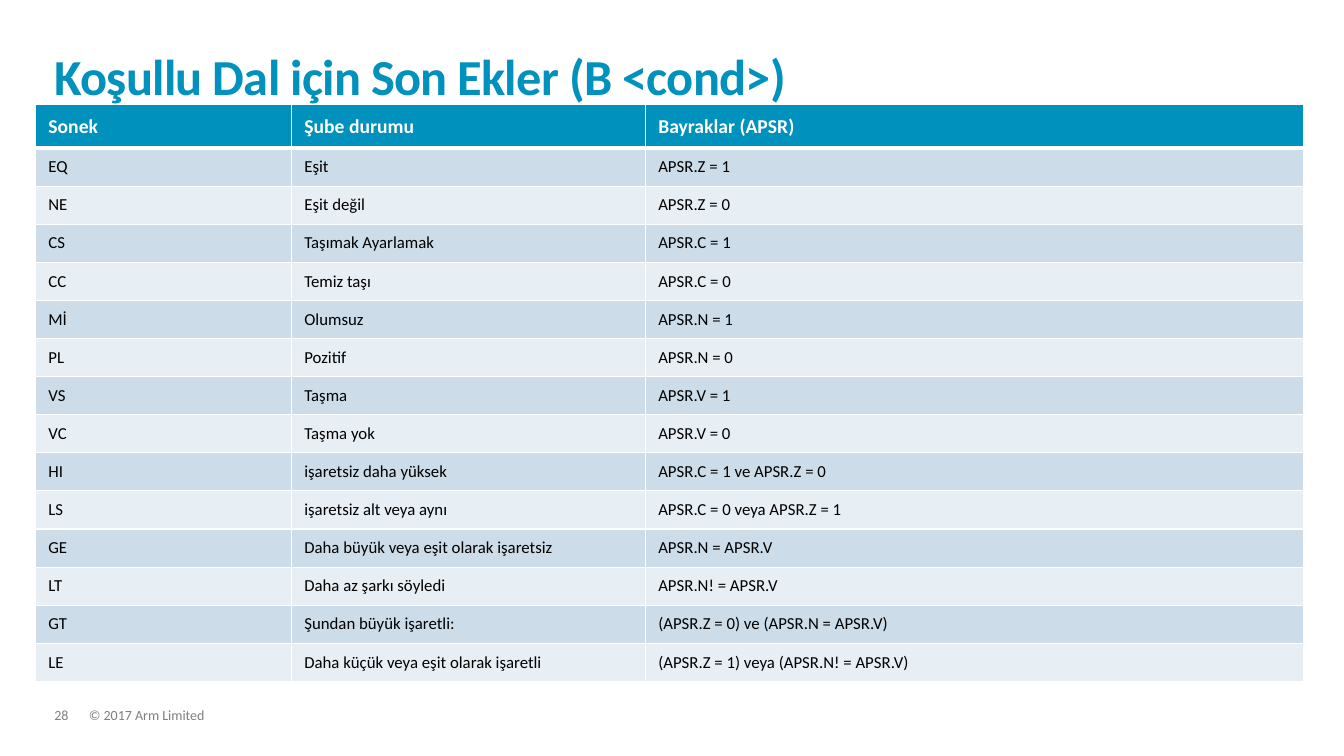
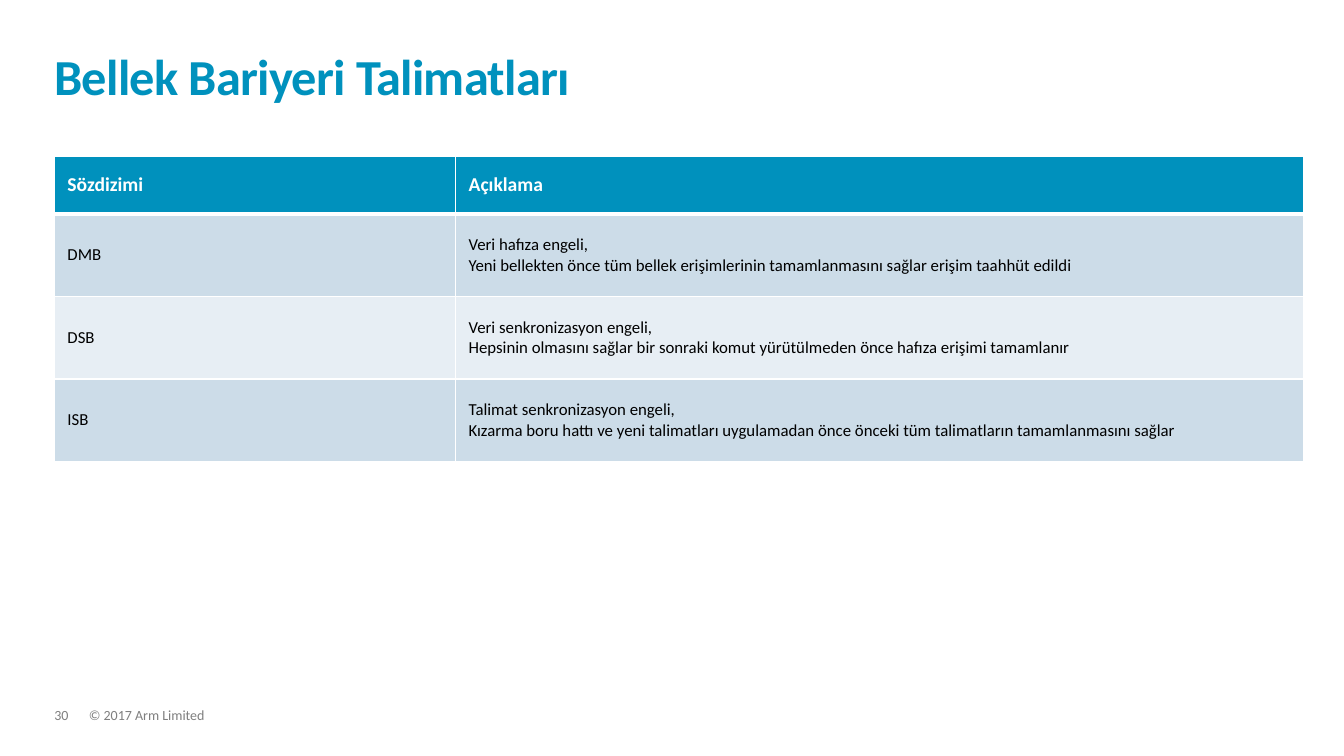
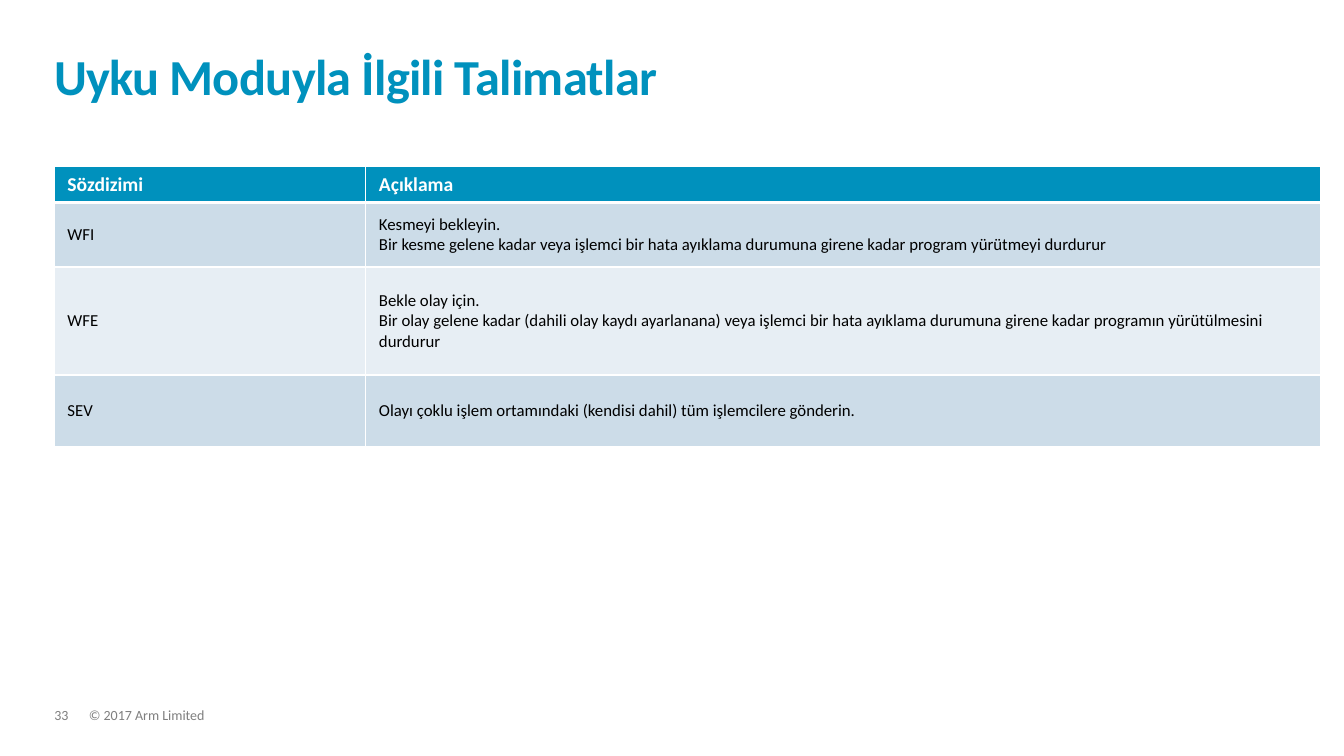
import lxml.etree
import pptx
import pptx.dml.color
import pptx.enum.text
import pptx.oxml.ns
import pptx.util

Cm = pptx.util.Cm
Pt = pptx.util.Pt
Anchor = pptx.enum.text.MSO_ANCHOR
AutoSize = pptx.enum.text.MSO_AUTO_SIZE

COLORS = {
    "accent": "0091BD",
    "white": "FFFFFF",
    "text": "000000",
    "footer": "7F7F7F",
    "band_dark": "CCDCE8",
    "band_light": "E7EEF4",
}

LEFT = 1.37
TITLE_ONLY = 5


class Deck:
    """Holds the shared style and the slide being built."""

    font_name = "Calibri"
    copyright_line = "© 2017 Arm Limited"

    def __init__(self):
        self.presentation = pptx.Presentation()
        self.presentation.slide_width = Cm(33.87)
        self.presentation.slide_height = Cm(19.05)
        self.slide = None

    def color(self, name):
        return pptx.dml.color.RGBColor.from_string(COLORS[name])

    def add_run(self, paragraph, text, size, color, bold=False):
        run = paragraph.add_run()
        run.text = text
        run.font.name = self.font_name
        run.font.size = Pt(size)
        run.font.bold = bold
        run.font.color.rgb = self.color(color)
        return run

    def clear_margins(self, frame):
        frame.margin_left = frame.margin_right = 0
        frame.margin_top = frame.margin_bottom = 0
        frame.word_wrap = True

    def add_slide(self, title, number):
        layout = self.presentation.slide_layouts[TITLE_ONLY]
        self.slide = self.presentation.slides.add_slide(layout)
        self.add_footer_text(self.copyright_line, 2.24, 23.19)
        self.add_footer_text(str(number), LEFT, 0.86)
        self.set_title(title)

    def set_title(self, text):
        shape = self.slide.shapes.title
        shape.left, shape.top = Cm(LEFT), Cm(0.81)
        shape.width, shape.height = Cm(31.06), Cm(1.85)
        frame = shape.text_frame
        self.clear_margins(frame)
        frame.auto_size = AutoSize.NONE
        frame.vertical_anchor = Anchor.BOTTOM
        paragraph = frame.paragraphs[0]
        paragraph.alignment = pptx.enum.text.PP_ALIGN.LEFT
        paragraph.line_spacing = 0.85
        run = self.add_run(paragraph, text, 36, "accent", bold=True)
        run._r.get_or_add_rPr().set("spc", "-50")

    def add_footer_text(self, text, left, width):
        shape = self.slide.shapes.add_textbox(Cm(left), Cm(17.86), Cm(width), Cm(0.38))
        frame = shape.text_frame
        self.clear_margins(frame)
        frame.auto_size = AutoSize.SHAPE_TO_FIT_TEXT
        paragraph = frame.paragraphs[0]
        paragraph.line_spacing = 0.9
        self.add_run(paragraph, text, 10, "footer")

    def add_table(self, left, top, widths, heights, rows):
        """Draw a header row and banded body rows; sizes are in centimetres."""
        table = self.slide.shapes.add_table(
            len(rows), len(widths), Cm(left), Cm(top), Cm(sum(widths)), Cm(sum(heights))
        ).table
        table.horz_banding = False
        for column, width in zip(table.columns, widths):
            column.width = Cm(width)
        for row, height in zip(table.rows, heights):
            row.height = Cm(height)
        for row_index, texts in enumerate(rows):
            for column_index, text in enumerate(texts):
                self.fill_cell(table.cell(row_index, column_index), text, row_index)

    def fill_cell(self, cell, text, row_index):
        is_header = row_index == 0
        if is_header:
            fill, size, color = "accent", 14, "white"
        else:
            fill = "band_dark" if row_index % 2 else "band_light"
            size, color = 12, "text"
        # A thick rule separates the header from the body
        self.set_borders(cell, top=3 if row_index == 1 else 1, bottom=3 if is_header else 1)
        cell.fill.solid()
        cell.fill.fore_color.rgb = self.color(fill)
        cell.vertical_anchor = Anchor.MIDDLE
        cell.margin_left = cell.margin_right = Cm(0.33)
        cell.margin_top = cell.margin_bottom = Cm(0.13)
        frame = cell.text_frame
        for index, line in enumerate(text.split("\n")):
            paragraph = frame.add_paragraph() if index else frame.paragraphs[0]
            self.add_run(paragraph, line, size, color, bold=is_header)

    def set_borders(self, cell, top, bottom):
        properties = cell._tc.get_or_add_tcPr()
        qn = pptx.oxml.ns.qn
        for side, width in (("L", 1), ("R", 1), ("T", top), ("B", bottom)):
            line = lxml.etree.SubElement(properties, qn("a:ln" + side), w=str(Pt(width)))
            fill = lxml.etree.SubElement(line, qn("a:solidFill"))
            lxml.etree.SubElement(fill, qn("a:srgbClr"), val=COLORS["white"])


def main():
    deck = Deck()

    # Branch condition suffixes
    suffixes = [
        ("Sonek", "Şube durumu", "Bayraklar (APSR)"),
        ("EQ", "Eşit", "APSR.Z = 1"),
        ("NE", "Eşit değil", "APSR.Z = 0"),
        ("CS", "Taşımak Ayarlamak", "APSR.C = 1"),
        ("CC", "Temiz taşı", "APSR.C = 0"),
        ("Mİ", "Olumsuz", "APSR.N = 1"),
        ("PL", "Pozitif", "APSR.N = 0"),
        ("VS", "Taşma", "APSR.V = 1"),
        ("VC", "Taşma yok", "APSR.V = 0"),
        ("HI", "işaretsiz daha yüksek", "APSR.C = 1 ve APSR.Z = 0"),
        ("LS", "işaretsiz alt veya aynı", "APSR.C = 0 veya APSR.Z = 1"),
        ("GE", "Daha büyük veya eşit olarak işaretsiz", "APSR.N = APSR.V"),
        ("LT", "Daha az şarkı söyledi", "APSR.N! = APSR.V"),
        ("GT", "Şundan büyük işaretli:", "(APSR.Z = 0) ve (APSR.N = APSR.V)"),
        ("LE", "Daha küçük veya eşit olarak işaretli", "(APSR.Z = 1) veya (APSR.N! = APSR.V)"),
    ]
    deck.add_slide("Koşullu Dal için Son Ekler (B <cond>)", 28)
    heights = [1.09] + [0.96] * (len(suffixes) - 1)
    deck.add_table(0.89, 2.64, [6.45, 8.92, 16.59], heights, suffixes)

    # Memory barrier instructions
    syntax_header = ("Sözdizimi", "Açıklama")
    barriers = [
        syntax_header,
        ("DMB", "Veri hafıza engeli,\n"
                "Yeni bellekten önce tüm bellek erişimlerinin tamamlanmasını sağlar erişim taahhüt edildi"),
        ("DSB", "Veri senkronizasyon engeli,\n"
                "Hepsinin olmasını sağlar bir sonraki komut yürütülmeden önce hafıza erişimi tamamlanır"),
        ("ISB", "Talimat senkronizasyon engeli,\n"
                "Kızarma boru hattı ve yeni talimatları uygulamadan önce önceki tüm talimatların "
                "tamamlanmasını sağlar"),
    ]
    deck.add_slide("Bellek Bariyeri Talimatları", 30)
    deck.add_table(LEFT, 3.94, [10.11, 21.36], [1.45] + [2.08] * 3, barriers)

    # Sleep mode instructions
    sleep_instructions = [
        syntax_header,
        ("WFI", "Kesmeyi bekleyin.\n"
                "Bir kesme gelene kadar veya işlemci bir hata ayıklama durumuna girene kadar "
                "program yürütmeyi durdurur"),
        ("WFE", "Bekle olay için.\n"
                "Bir olay gelene kadar (dahili olay kaydı ayarlanana) veya işlemci bir hata ayıklama "
                "durumuna girene kadar programın yürütülmesini durdurur"),
        ("SEV", "Olayı çoklu işlem ortamındaki (kendisi dahil) tüm işlemcilere gönderin."),
    ]
    deck.add_slide("Uyku Moduyla İlgili Talimatlar", 33)
    deck.add_table(LEFT, 4.19, [7.85, 24.05], [0.91, 1.63, 2.72, 1.8], sleep_instructions)

    deck.presentation.save("out.pptx")


if __name__ == "__main__":
    main()
